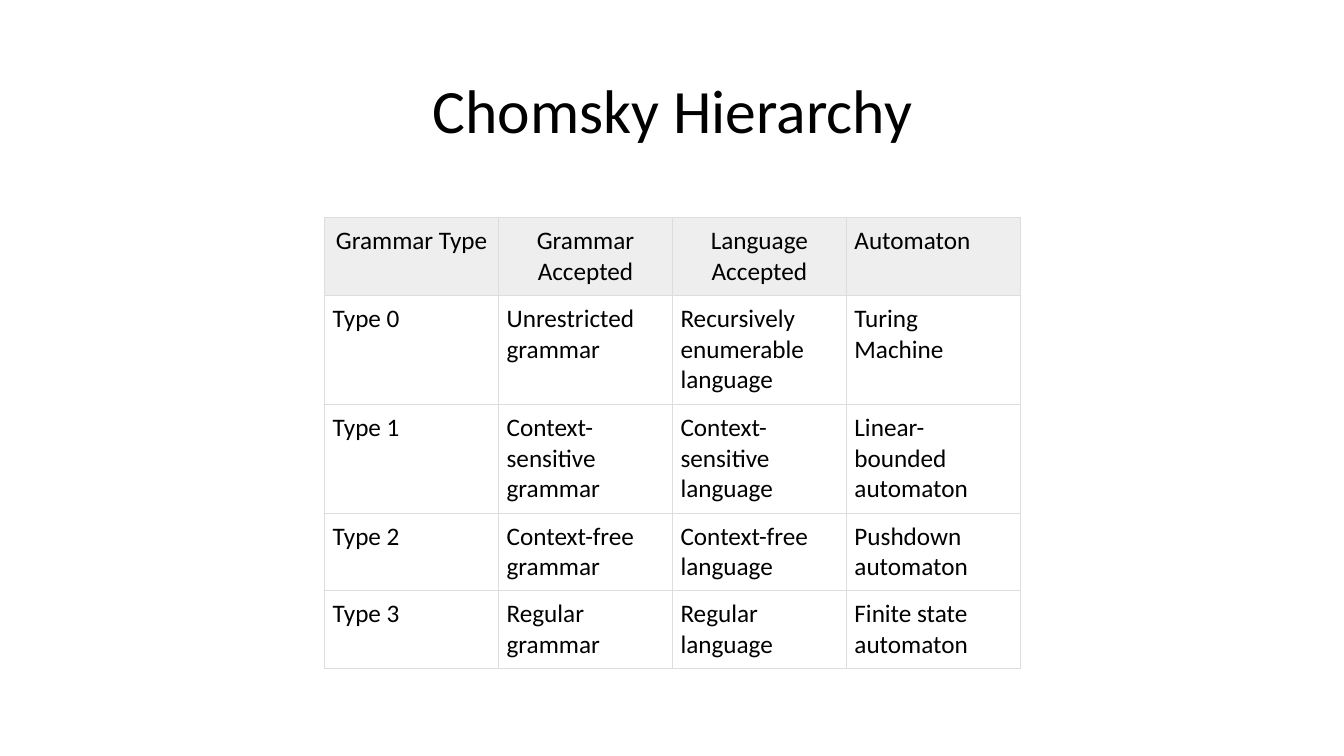
from dataclasses import dataclass

from lxml import etree
from pptx import Presentation
from pptx.dml.color import RGBColor
from pptx.enum import text
from pptx.oxml import ns
from pptx.slide import Slide
from pptx.table import _Cell
from pptx.util import Inches, Pt


@dataclass(frozen=True)
class Theme:
    font: str = "Calibri"
    title_size: int = 44
    table_size: int = 18
    ink: str = "000000"
    header_fill: str = "EEEEEE"
    border: str = "DDDDDD"
    border_width: float = 0.75
    cell_margin: float = 0.08


@dataclass(frozen=True)
class TableRow:
    labels: tuple[str, ...]
    height: float
    alignments: tuple[text.PP_ALIGN, ...] = (text.PP_ALIGN.LEFT,) * 4
    fill: str | None = None


THEME = Theme()
TWO_LINES, THREE_LINES = 0.77, 1.08
TABLE_LEFT, TABLE_TOP, TABLE_WIDTH = 3.22, 2.16, 6.9

ROWS = [
    TableRow(
        ("Grammar Type", "Grammar Accepted", "Language Accepted", "Automaton"),
        TWO_LINES,
        (text.PP_ALIGN.CENTER,) * 3 + (text.PP_ALIGN.JUSTIFY,),
        THEME.header_fill,
    ),
    TableRow(("Type 0", "Unrestricted grammar", "Recursively enumerable language",
              "Turing Machine"), THREE_LINES),
    TableRow(("Type 1", "Context-sensitive grammar", "Context-sensitive language",
              "Linear-bounded automaton"), THREE_LINES),
    TableRow(("Type 2", "Context-free grammar", "Context-free language",
              "Pushdown automaton"), TWO_LINES),
    TableRow(("Type 3", "Regular grammar", "Regular language",
              "Finite state automaton"), TWO_LINES),
]


def write_text(frame: text, content: str, size: int, alignment: text.PP_ALIGN) -> None:
    paragraph = frame.paragraphs[0]
    paragraph.alignment = alignment
    run = paragraph.add_run()
    run.text = content
    run.font.name = THEME.font
    run.font.size = Pt(size)
    run.font.bold = False
    run.font.color.rgb = RGBColor.from_string(THEME.ink)


def draw_borders(cell: _Cell) -> None:
    properties = cell._tc.get_or_add_tcPr()
    for side in ("lnL", "lnR", "lnT", "lnB"):
        line = etree.SubElement(properties, ns.qn(f"a:{side}"), w=str(Pt(THEME.border_width)))
        fill = etree.SubElement(line, ns.qn("a:solidFill"))
        etree.SubElement(fill, ns.qn("a:srgbClr"), val=THEME.border)


def format_cell(cell: _Cell, label: str, alignment: text.PP_ALIGN, fill: str | None) -> None:
    margin = Inches(THEME.cell_margin)
    cell.margin_left = cell.margin_right = margin
    cell.margin_top = cell.margin_bottom = margin
    cell.vertical_anchor = text.MSO_ANCHOR.TOP
    draw_borders(cell)
    if fill:
        cell.fill.solid()
        cell.fill.fore_color.rgb = RGBColor.from_string(fill)
    else:
        cell.fill.background()
    write_text(cell.text_frame, label, THEME.table_size, alignment)


def draw_title(slide: Slide, content: str) -> None:
    title = slide.shapes.title
    title.left, title.top = Inches(0.92), Inches(0.4)
    title.width, title.height = Inches(11.5), Inches(1.45)
    title.text_frame.vertical_anchor = text.MSO_ANCHOR.MIDDLE
    write_text(title.text_frame, content, THEME.title_size, text.PP_ALIGN.CENTER)
    title.text_frame.paragraphs[0].line_spacing = 0.9


def draw_table(slide: Slide, rows: list[TableRow]) -> None:
    table = slide.shapes.add_table(
        len(rows), len(rows[0].labels),
        Inches(TABLE_LEFT), Inches(TABLE_TOP),
        Inches(TABLE_WIDTH), Inches(sum(row.height for row in rows)),
    ).table
    table.first_row = table.horz_banding = False
    for row_index, row in enumerate(rows):
        table.rows[row_index].height = Inches(row.height)
        for column, (label, alignment) in enumerate(zip(row.labels, row.alignments)):
            format_cell(table.cell(row_index, column), label, alignment, row.fill)


def main() -> None:
    presentation = Presentation()
    presentation.slide_width = Inches(13.33)
    presentation.slide_height = Inches(7.5)

    # Title Only layout
    slide = presentation.slides.add_slide(presentation.slide_layouts[5])
    draw_title(slide, "Chomsky Hierarchy")
    draw_table(slide, ROWS)
    presentation.save("out.pptx")


if __name__ == "__main__":
    main()
